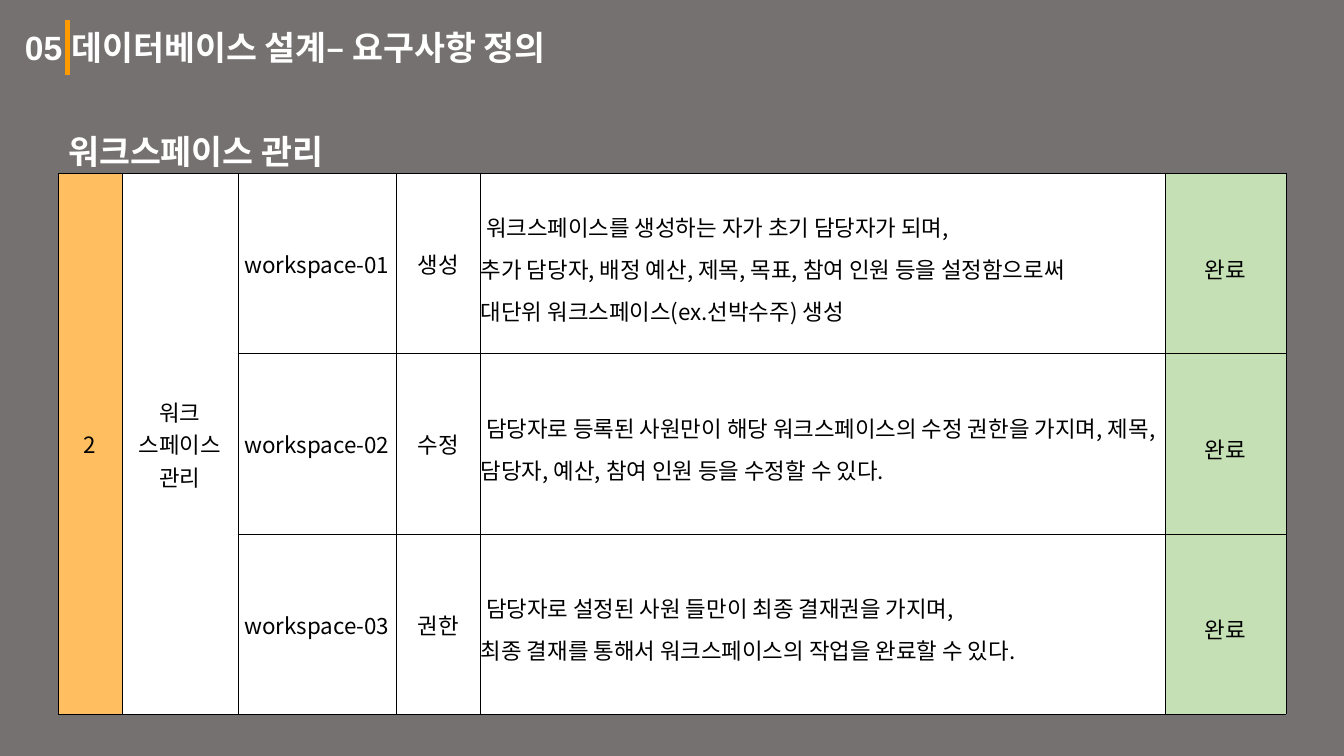
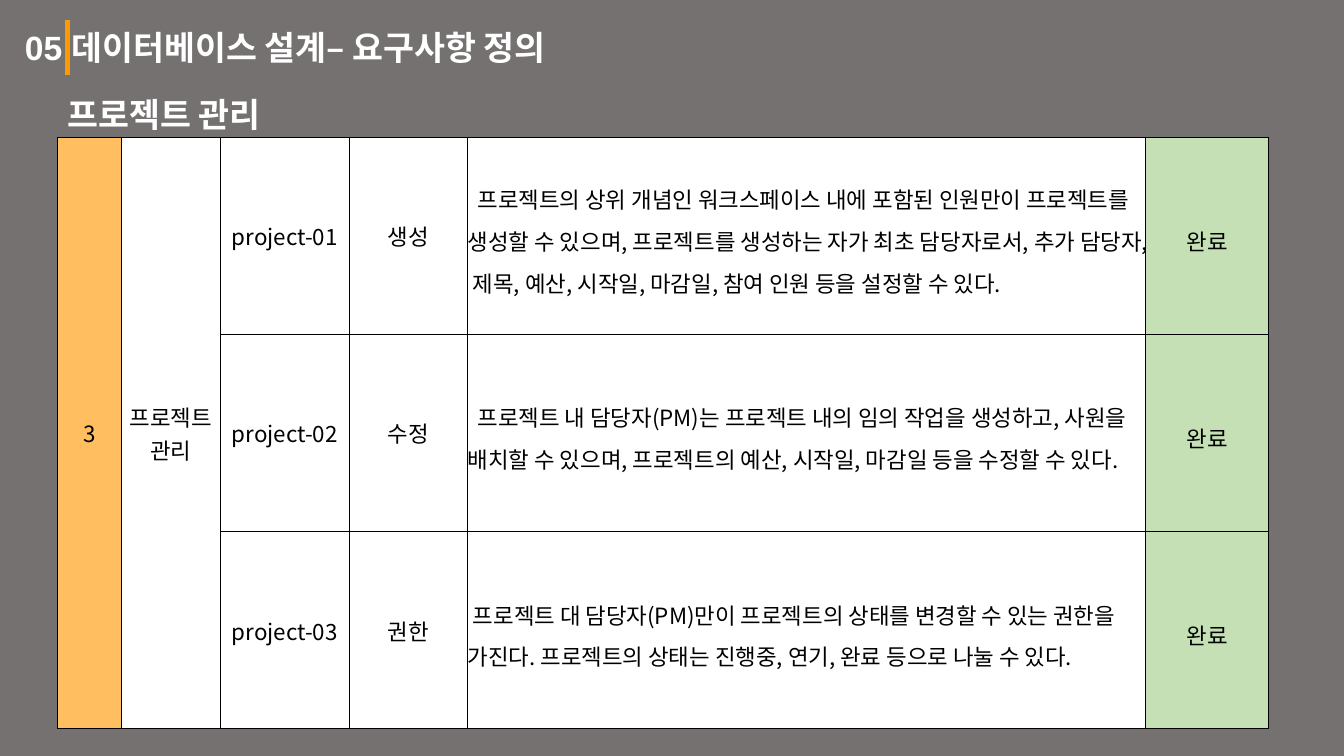
from dataclasses import dataclass

from lxml.etree import SubElement
from pptx import Presentation
from pptx.dml.color import RGBColor
from pptx.enum.shapes import MSO_CONNECTOR
from pptx.enum.text import MSO_ANCHOR, PP_ALIGN
from pptx.oxml.ns import qn
from pptx.util import Cm, Pt


@dataclass(frozen=True)
class Theme:
    background: str = "767171"
    accent: str = "FF9900"
    number_fill: str = "FFBF61"
    cell_fill: str = "FFFFFF"
    done_fill: str = "C5E0B4"
    light: str = "FFFFFF"
    dark: str = "000000"
    title_font: str = "Arial"
    font: str = "Noto Sans CJK KR"
    title_size: int = 24
    body_size: int = 16
    loose: float = 1.3


T = Theme()
TITLE = "05 데이터베이스 설계– 요구사항 정의"
DONE = "완료"
ACTIONS = ["생성", "수정", "권한"]

WORKSPACE_RULES = [
    ["워크스페이스를 생성하는 자가 초기 담당자가 되며,",
     "추가 담당자, 배정 예산, 제목, 목표, 참여 인원 등을 설정함으로써",
     "대단위 워크스페이스(ex.선박수주) 생성"],
    ["담당자로 등록된 사원만이 해당 워크스페이스의 수정 권한을 가지며, "
     "제목, 담당자, 예산, 참여 인원 등을 수정할 수 있다."],
    ["담당자로 설정된 사원 들만이 최종 결재권을 가지며,",
     "최종 결재를 통해서 워크스페이스의 작업을 완료할 수 있다."],
]
PROJECT_RULES = [
    ["프로젝트의 상위 개념인 워크스페이스 내에 포함된 인원만이 프로젝트를 "
     "생성할 수 있으며, 프로젝트를 생성하는 자가 최초 담당자로서, 추가 "
     "담당자, 제목, 예산, 시작일, 마감일, 참여 인원 등을 설정할 수 있다."],
    ["프로젝트 내 담당자(PM)는 프로젝트 내의 임의 작업을 생성하고, "
     "사원을 배치할 수 있으며, 프로젝트의 예산, 시작일, 마감일 등을 "
     "수정할 수 있다."],
    ["프로젝트 대 담당자(PM)만이 프로젝트의 상태를 변경할 수 있는 권한을 "
     "가진다. 프로젝트의 상태는 진행중, 연기, 완료 등으로 나눌 수 있다."],
]


def rgb(value):
    return RGBColor.from_string(value)


def write(tf, lines, size=T.body_size, color=T.dark, font=T.font, bold=False,
          align=PP_ALIGN.LEFT, spacing=None, indent=0):
    for i, line in enumerate(lines):
        p = tf.paragraphs[0] if i == 0 else tf.add_paragraph()
        p.alignment = align
        if spacing:
            p.line_spacing = spacing
        if indent and i == 0:
            pPr = p._p.get_or_add_pPr()
            pPr.set("marL", "0")
            pPr.set("indent", str(Cm(indent)))
        r = p.add_run()
        r.text = line
        r.font.size = Pt(size)
        r.font.bold = bold
        r.font.color.rgb = rgb(color)
        r.font.name = font
        SubElement(r._r.get_or_add_rPr(), qn("a:ea"), typeface=T.font)


def add_text(s, text, x, y, w, h, wrap=True, **fmt):
    tf = s.shapes.add_textbox(Cm(x), Cm(y), Cm(w), Cm(h)).text_frame
    tf.word_wrap = wrap
    write(tf, [text], size=T.title_size, color=T.light, bold=True, **fmt)


def add_header(s):
    add_text(s, TITLE, 0.38, 0.56, 20, 1.27, font=T.title_font)
    bar = s.shapes.add_connector(MSO_CONNECTOR.STRAIGHT,
                                 Cm(1.7), Cm(0.5), Cm(1.7), Cm(1.88))
    bar.line.color.rgb = rgb(T.accent)
    bar.line.width = Pt(3)
    SubElement(bar._element.spPr, qn("a:effectLst"))


def style_cell(cell, fill):
    tcPr = cell._tc.get_or_add_tcPr()
    for side in ("L", "R", "T", "B"):
        ln = SubElement(tcPr, qn(f"a:ln{side}"), w=str(Pt(0.25)))
        SubElement(SubElement(ln, qn("a:solidFill")), qn("a:srgbClr"), val=T.dark)
    cell.fill.solid()
    cell.fill.fore_color.rgb = rgb(fill)
    cell.vertical_anchor = MSO_ANCHOR.MIDDLE
    cell.margin_left = cell.margin_right = cell.margin_top = Cm(0.02)
    cell.margin_bottom = 0


def add_requirements(s, x, y, widths, row_h, number, group, code, rules, indents):
    rows = len(rules)
    frame = s.shapes.add_table(rows, len(widths), Cm(x), Cm(y),
                               Cm(sum(widths)), Cm(row_h * rows))
    table = frame.table
    table.first_row = table.horz_banding = False
    for col, w in zip(table.columns, widths):
        col.width = Cm(w)
    fills = [T.number_fill] + [T.cell_fill] * 4 + [T.done_fill]
    for row in table.rows:
        row.height = Cm(row_h)
        for cell, fill in zip(row.cells, fills):
            style_cell(cell, fill)
    for c, lines in enumerate([[number], group]):
        table.cell(0, c).merge(table.cell(rows - 1, c))
        write(table.cell(0, c).text_frame, lines, align=PP_ALIGN.CENTER)
    for i, (action, rule, indent) in enumerate(zip(ACTIONS, rules, indents)):
        code_tf, action_tf, rule_tf, done_tf = (
            table.cell(i, c).text_frame for c in range(2, 6))
        write(code_tf, [f"{code}-{i + 1:02}"], align=PP_ALIGN.CENTER)
        write(action_tf, [action], align=PP_ALIGN.CENTER)
        write(rule_tf, rule, spacing=T.loose, indent=indent)
        write(done_tf, [DONE], align=PP_ALIGN.CENTER, spacing=T.loose)


def add_section(prs, heading, heading_w, x, y, **table):
    s = prs.slides.add_slide(prs.slide_layouts[6])
    add_header(s)
    add_text(s, heading, x, y - 1.5, heading_w, 1.45, wrap=False, spacing=T.loose)
    add_requirements(s, x, y, **table)


def main():
    prs = Presentation()
    prs.slide_width, prs.slide_height = Cm(33.87), Cm(19.05)
    fill = prs.slide_master.background.fill
    fill.solid()
    fill.fore_color.rgb = rgb(T.background)
    add_section(prs, "워크스페이스 관리", 7.65, 1.47, 4.37,
                widths=[1.6, 2.92, 4, 2.11, 17.25, 3.05], row_h=4.54,
                number="2", group=["워크", "스페이스", "관리"],
                code="workspace", rules=WORKSPACE_RULES,
                indents=[0.13, 0.13, 0.13])
    add_section(prs, "프로젝트 관리", 5.94, 1.45, 3.45,
                widths=[1.6, 2.5, 3.25, 2.97, 17.1, 3.1], row_h=4.97,
                number="3", group=["프로젝트", "관리"],
                code="project", rules=PROJECT_RULES,
                indents=[0.25, 0.25, 0.13])
    prs.save("out.pptx")


if __name__ == "__main__":
    main()
